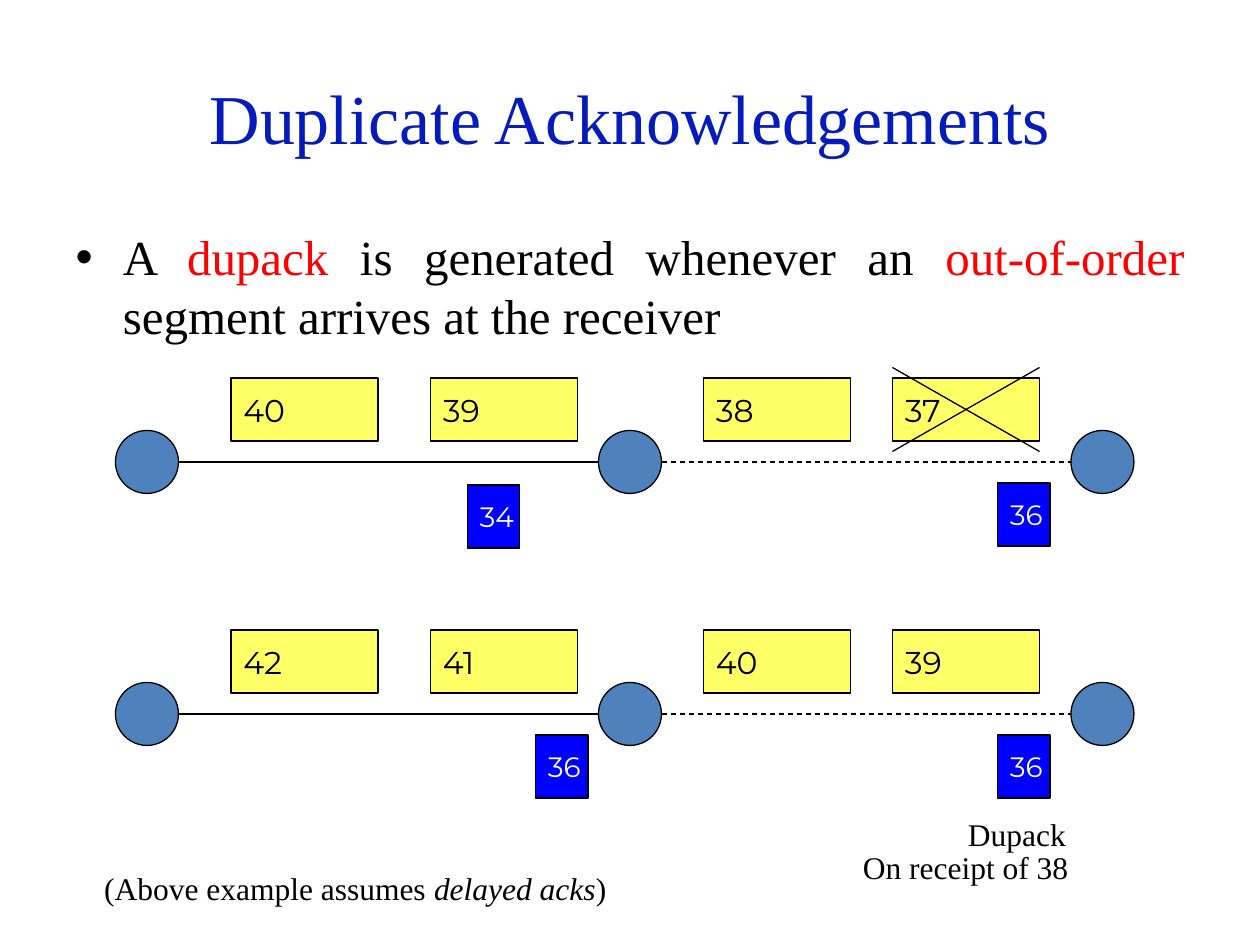
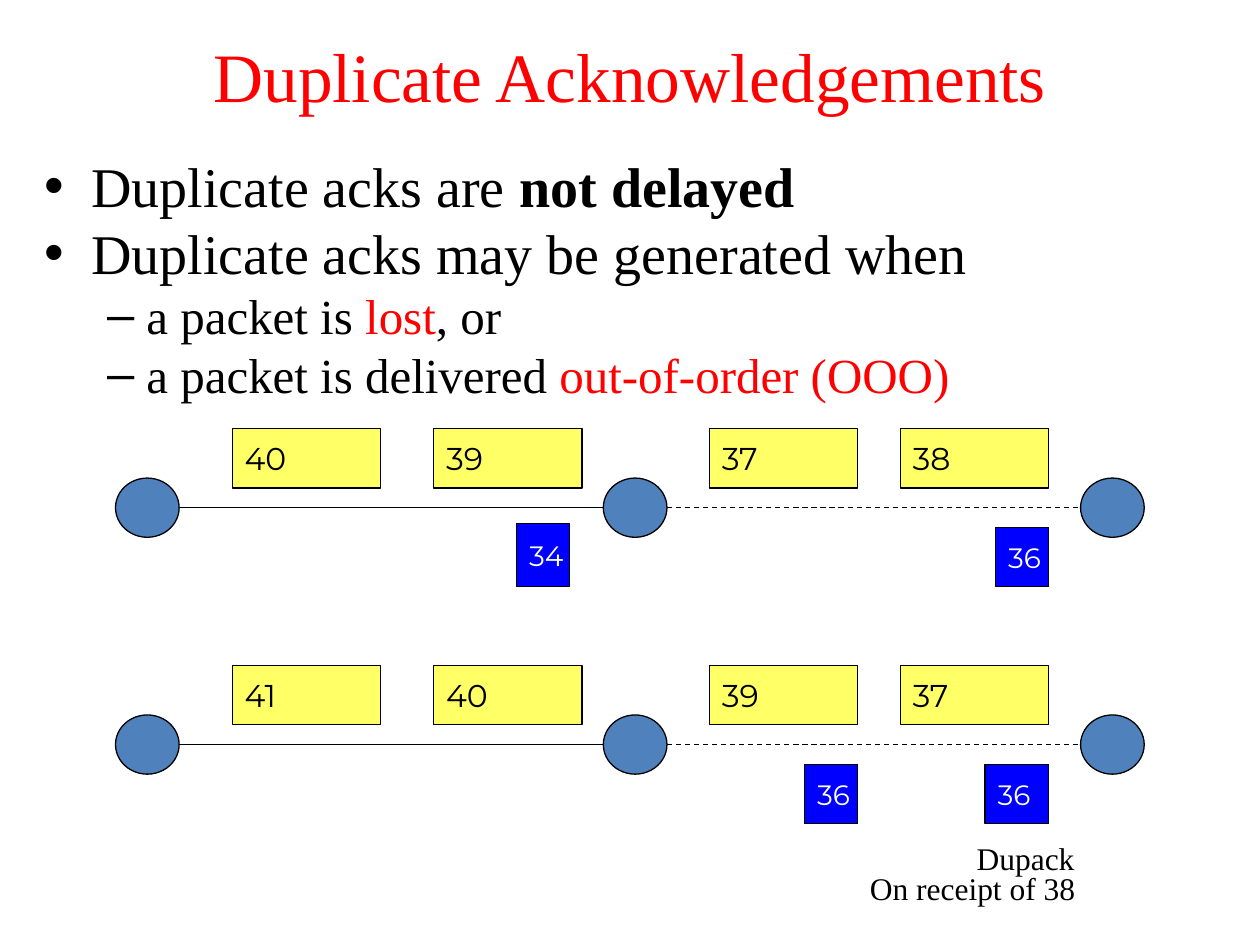
"""Build two slides on duplicate acknowledgements."""
from dataclasses import dataclass

from lxml.etree import SubElement
from pptx import Presentation
from pptx.dml.color import RGBColor
from pptx.enum.dml import MSO_LINE
from pptx.enum.shapes import MSO_CONNECTOR, MSO_SHAPE
from pptx.enum.text import MSO_ANCHOR, MSO_AUTO_SIZE, PP_ALIGN
from pptx.oxml.ns import qn
from pptx.util import Pt

BLACK = RGBColor(0x00, 0x00, 0x00)
WHITE = RGBColor(0xFF, 0xFF, 0xFF)
RED = RGBColor(0xFF, 0x00, 0x00)
TITLE_BLUE = RGBColor(0x05, 0x1B, 0xBB)
NODE_BLUE = RGBColor(0x4F, 0x81, 0xBD)
ACK_BLUE = RGBColor(0x00, 0x00, 0xFF)
SEGMENT_YELLOW = RGBColor(0xFF, 0xFF, 0x66)
SERIF, SANS = "Times New Roman", "Montserrat"

LEFT = 66
NODE_X = (66, 342, 612)
SEGMENT_X = (132, 246, 402, 510)
SIDE, SEGMENT_WIDTH = 36, 84
NODE_DROP, ROW_PITCH, CROSS_MARGIN = 30, 144, 6


@dataclass
class Ack:
    """An acknowledgement placed below the wire of its row."""
    number: str
    x: float
    width: float = 30
    drop: float = 60
    height: float = SIDE


SLIDES = [
    {
        "title": "Duplicate Acknowledgements",
        "title_look": (TITLE_BLUE, 40, (36, 21.6, 648, 90)),
        "body_box": (36, 126, 648, 356.4),
        "body_look": (PP_ALIGN.JUSTIFY, 5.6),
        "bullets": [
            (0, 28, [("A ", ""), ("dupack ", "red"), ("is generated whenever an ", ""),
                     ("out-of-order ", "red"), ("segment arrives at the receiver", "")]),
        ],
        "top": 216,
        "scale": (1, 1),
        "rows": [
            (("40", "39", "38", "37"), [Ack("36", 570), Ack("34", 267, drop=61.2)]),
            (("42", "41", "40", "39"), [Ack("36", 306), Ack("36", 570)]),
        ],
        "lost": [(0, 3)],
        "notes": [
            ((546, 461, 82, 31), [("Dupack", "")]),
            ((486, 480, 156, 31), [("On receipt of 38", "")]),
            ((52.5, 492, 374, 31), [("(Above example assumes ", ""),
                                    ("delayed acks", "italic"), (")", "")]),
        ],
    },
    {
        "title": "Duplicate Acknowledgements",
        "title_look": (RED, 39.6, (54, 18.7, 612, 48)),
        "body_box": (18, 82.8, 672, 432),
        "body_look": (PP_ALIGN.LEFT, 0),
        "bullets": [
            (0, 32, [("Duplicate acks are ", ""), ("not delayed", "bold")]),
            (0, 32, [("Duplicate acks may be generated when", "")]),
            (1, 28, [("a packet is ", ""), ("lost", "red"), (", or", "")]),
            (1, 28, [("a packet is delivered ", ""), ("out-of-order (OOO)", "red")]),
        ],
        "top": 245,
        "scale": (1.01, 0.94),
        "rows": [
            (("40", "39", "37", "38"),
             [Ack("36", 564), Ack("34", 293, drop=57.6, height=38.4)]),
            (("41", "40", "39", "37"), [Ack("36", 456), Ack("36", 558, 36)]),
        ],
        "lost": [],
        "notes": [
            ((551, 475, 84, 30), [("Dupack", "")]),
            ((490, 492.5, 158, 30), [("On receipt of 38", "")]),
        ],
    },
]


def place(part, box):
    part.left, part.top, part.width, part.height = map(Pt, box)


def style(paragraph, face, size, color):
    font = paragraph.font
    font.name, font.size = face, Pt(size)
    font.color.rgb = color


def write_runs(paragraph, runs, size):
    style(paragraph, SERIF, size, BLACK)
    for text, look in runs:
        run = paragraph.add_run()
        run.text = text
        if look == "red":
            run.font.color.rgb = RED
        elif look == "bold":
            run.font.bold = True
        elif look == "italic":
            run.font.italic = True


def add_figure(slide, preset, box, fill, label="", size=18, color=BLACK):
    figure = slide.shapes.add_shape(preset, *map(Pt, box))
    figure.shadow.inherit = False
    figure.fill.solid()
    figure.fill.fore_color.rgb = fill
    figure.line.color.rgb = BLACK
    figure.line.width = Pt(0.75)
    if label:
        frame = figure.text_frame
        frame.word_wrap = False
        frame.vertical_anchor = MSO_ANCHOR.MIDDLE
        paragraph = frame.paragraphs[0]
        paragraph.text = label
        paragraph.alignment = PP_ALIGN.LEFT
        style(paragraph, SANS, size, color)


def add_wire(slide, start, end, dashed=False):
    wire = slide.shapes.add_connector(MSO_CONNECTOR.STRAIGHT, *map(Pt, start + end))
    wire.line.color.rgb = BLACK
    wire.line.width = Pt(0.75)
    if dashed:
        wire.line.dash_style = MSO_LINE.DASH
    SubElement(wire._element.spPr, qn("a:effectLst"))


def add_heading_and_bullets(slide, content):
    title, body = slide.shapes.title, slide.placeholders[1]
    color, size, box = content["title_look"]
    place(title, box)
    title.text_frame.text = content["title"]
    title.text_frame.auto_size = MSO_AUTO_SIZE.NONE
    heading = title.text_frame.paragraphs[0]
    heading.alignment = PP_ALIGN.CENTER
    style(heading, SERIF, size, color)

    place(body, content["body_box"])
    frame = body.text_frame
    frame.auto_size = MSO_AUTO_SIZE.NONE
    alignment, gap = content["body_look"]
    for index, (level, size, runs) in enumerate(content["bullets"]):
        bullet = frame.add_paragraph() if index else frame.paragraphs[0]
        bullet.level = level
        bullet.alignment = alignment
        bullet.space_before = Pt(gap)
        write_runs(bullet, runs, size)


def add_network(slide, content):
    x_scale, y_scale = content["scale"]

    def point(row, x, drop):
        return (LEFT + (x - LEFT) * x_scale,
                content["top"] + (row * ROW_PITCH + drop) * y_scale)

    def area(row, x, drop, width, height=SIDE):
        return point(row, x, drop) + (width * x_scale, height * y_scale)

    wire_drop = NODE_DROP + SIDE / 2
    for row, (segments, acks) in enumerate(content["rows"]):
        for x in NODE_X:
            add_figure(slide, MSO_SHAPE.OVAL, area(row, x, NODE_DROP, SIDE), NODE_BLUE)
        for hop, (start, end) in enumerate(zip(NODE_X, NODE_X[1:])):
            add_wire(slide, point(row, start + SIDE, wire_drop),
                     point(row, end, wire_drop), dashed=hop == 1)
        for x, number in zip(SEGMENT_X, segments):
            add_figure(slide, MSO_SHAPE.RECTANGLE, area(row, x, 0, SEGMENT_WIDTH),
                       SEGMENT_YELLOW, number)
        for ack in acks:
            add_figure(slide, MSO_SHAPE.RECTANGLE,
                       area(row, ack.x, ack.drop, ack.width, ack.height),
                       ACK_BLUE, ack.number, 16, WHITE)

    for row, column in content["lost"]:
        x = SEGMENT_X[column]
        high, low = -CROSS_MARGIN, SIDE + CROSS_MARGIN
        for start, end in ((high, low), (low, high)):
            add_wire(slide, point(row, x, start), point(row, x + SEGMENT_WIDTH, end))


def add_notes(slide, notes):
    for box, runs in notes:
        frame = slide.shapes.add_textbox(*map(Pt, box)).text_frame
        frame.word_wrap = False
        frame.vertical_anchor = MSO_ANCHOR.MIDDLE
        write_runs(frame.paragraphs[0], runs, 18)


def main():
    deck = Presentation()
    deck.slide_width, deck.slide_height = Pt(720), Pt(540)
    for content in SLIDES:
        slide = deck.slides.add_slide(deck.slide_layouts[1])
        add_heading_and_bullets(slide, content)
        add_network(slide, content)
        add_notes(slide, content["notes"])
    deck.save("out.pptx")


if __name__ == "__main__":
    main()
